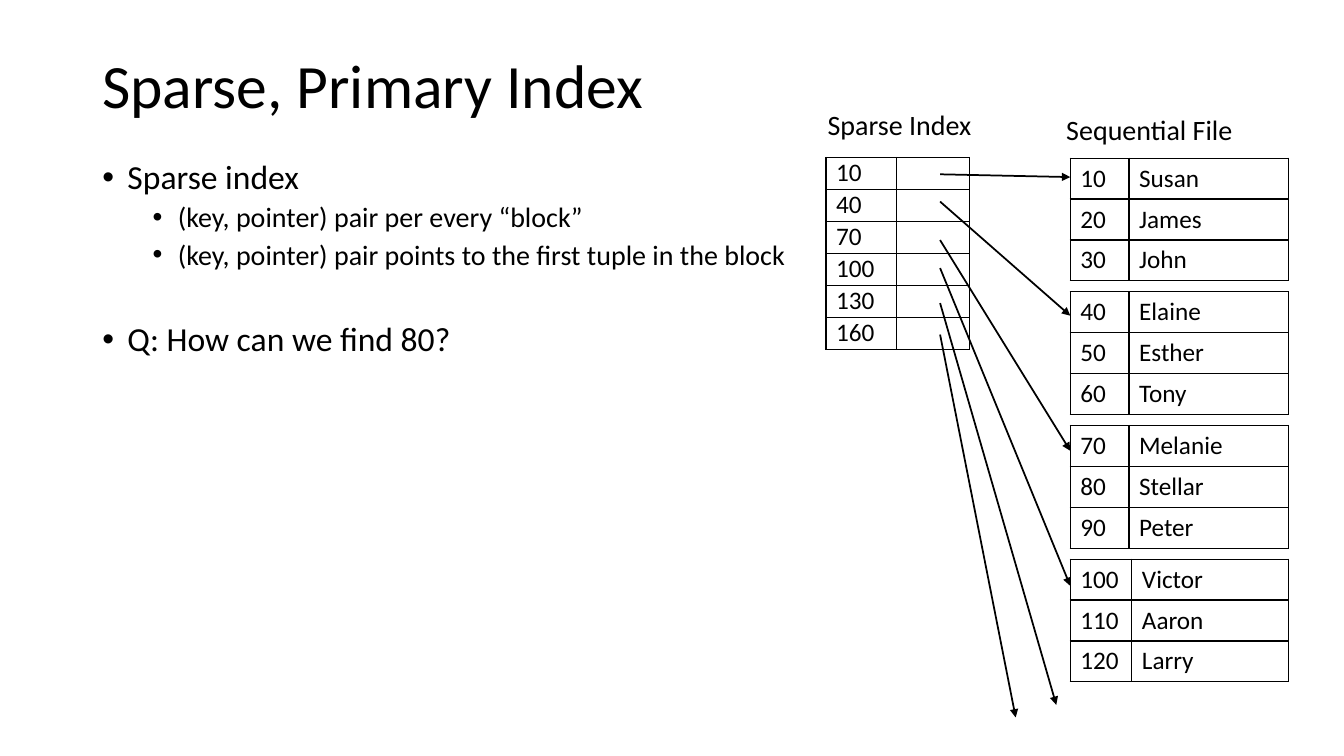
from lxml.etree import SubElement
from pptx import Presentation
from pptx.dml.color import RGBColor
from pptx.enum.shapes import MSO_CONNECTOR
from pptx.enum.text import MSO_ANCHOR
from pptx.oxml.ns import qn
from pptx.util import Pt

BLACK = RGBColor(0, 0, 0)
FONT = "Calibri"


def style(para, size):
    """Format the runs of one paragraph."""
    for run in para.runs:
        run.font.name = FONT
        run.font.size = Pt(size)
        run.font.color.rgb = BLACK


def add_text(slide, box, lines, size, wrap=True):
    """Add a text box with one paragraph per line."""
    frame = slide.shapes.add_textbox(*map(Pt, box)).text_frame
    frame.word_wrap = wrap
    frame.text = "\n".join(lines)
    for para in frame.paragraphs:
        style(para, size)
    return frame


def add_title(slide, box):
    """Place the slide title."""
    frame = add_text(slide, box, ["Sparse, Primary Index"], 44)
    frame.vertical_anchor = MSO_ANCHOR.MIDDLE
    frame.paragraphs[0].line_spacing = 0.9


def add_points(slide, box):
    """Place the bullet list."""
    points = [
        ("Sparse index", 0, 10),
        ("(key, pointer) pair per every “block”", 1, 5),
        ("(key, pointer) pair points to the first tuple in the block", 1, 5),
        ("Q: How can we find 80?", 0, 37),
    ]
    frame = add_text(slide, box, [text for text, _, _ in points], 24)
    for para, (_, level, space) in zip(frame.paragraphs, points):
        style(para, 20 if level else 24)
        para.level = level
        para.line_spacing = 0.9
        para.space_before = Pt(space)
        props = para._p.get_or_add_pPr()
        props.set("marL", str(Pt(18 + 36 * level)))
        props.set("indent", str(-Pt(18)))
        SubElement(props, qn("a:buFont"), typeface="Arial")
        SubElement(props, qn("a:buChar"), char="•")


def rule(cell):
    """Draw black borders round a cell and clear its fill."""
    props = cell._tc.get_or_add_tcPr()
    for side in ("lnL", "lnR", "lnT", "lnB"):
        line = SubElement(props, qn("a:" + side), w=str(Pt(1)))
        fill = SubElement(line, qn("a:solidFill"))
        SubElement(fill, qn("a:srgbClr"), val=str(BLACK))
    cell.fill.background()


def add_grid(slide, left, top, widths, height, rows, pad):
    """Add a ruled table with equal rows."""
    frame = slide.shapes.add_table(
        len(rows), len(widths), Pt(left), Pt(top),
        Pt(sum(widths)), Pt(height * len(rows)))
    table = frame.table
    table.first_row = table.horz_banding = False
    for col, width in zip(table.columns, widths):
        col.width = Pt(width)
    for row, texts in zip(table.rows, rows):
        row.height = Pt(height)
        for cell, text in zip(row.cells, texts):
            cell.margin_top = cell.margin_bottom = Pt(pad)
            cell.text = text
            style(cell.text_frame.paragraphs[0], 18)
            rule(cell)


def add_index(slide, box):
    """Place the sparse index with its caption."""
    left, top, width, height = box
    add_text(slide, (left - 6, top, 118, 32), ["Sparse Index"], 20, False)
    rows = [(str(key), "") for key in range(10, 161, 30)]
    add_grid(slide, left, top + 39, (50.5, width - 50.5),
             (height - 39) / len(rows), rows, 0)


def add_file(slide, box):
    """Place the blocks of the file with their caption."""
    left, top, width, height = box
    add_text(slide, (left - 10, top, 135, 32), ["Sequential File"], 20, False)
    blocks = [("Susan", "James", "John"), ("Elaine", "Esther", "Tony"),
              ("Melanie", "Stellar", "Peter"), ("Victor", "Aaron", "Larry")]
    block, first = 87.6, 36
    step = (height - first - block) / (len(blocks) - 1)
    for i, names in enumerate(blocks):
        rows = [(str(30 * i + 10 * j), name)
                for j, name in enumerate(names, 1)]
        key = 44 if i == 3 else 42
        add_grid(slide, left, top + first + i * step, (key, width - key),
                 block / 3, rows, 3.6)


def add_links(slide, box):
    """Draw the arrows from index to file."""
    left, top, width, _ = box
    links = [(0, width, 2), (19.5, width, 101), (47, width, 197.5),
             (67, width, 294), (92, 83, 379), (114.5, 54, 388)]
    for start, across, end in links:
        link = slide.shapes.add_connector(
            MSO_CONNECTOR.STRAIGHT, Pt(left), Pt(top + start),
            Pt(left + across), Pt(top + end))
        link.line.color.rgb = BLACK
        link.line.width = Pt(1.25)
        SubElement(link.line._get_or_add_ln(), qn("a:tailEnd"),
                   type="triangle")
        SubElement(link._element.spPr, qn("a:effectLst"))


def main():
    """Build and save the slide."""
    deck = Presentation()
    deck.slide_width, deck.slide_height = Pt(960), Pt(540)
    slide = deck.slides.add_slide(deck.slide_layouts[6])
    add_title(slide, (66, 24, 828, 78))
    add_points(slide, (66, 111, 828, 376))
    add_file(slide, (764.5, 77, 156, 410))
    add_index(slide, (590, 73.5, 102.5, 176.4))
    add_links(slide, (671.5, 124.5, 93, 388))
    deck.save("out.pptx")


main()
